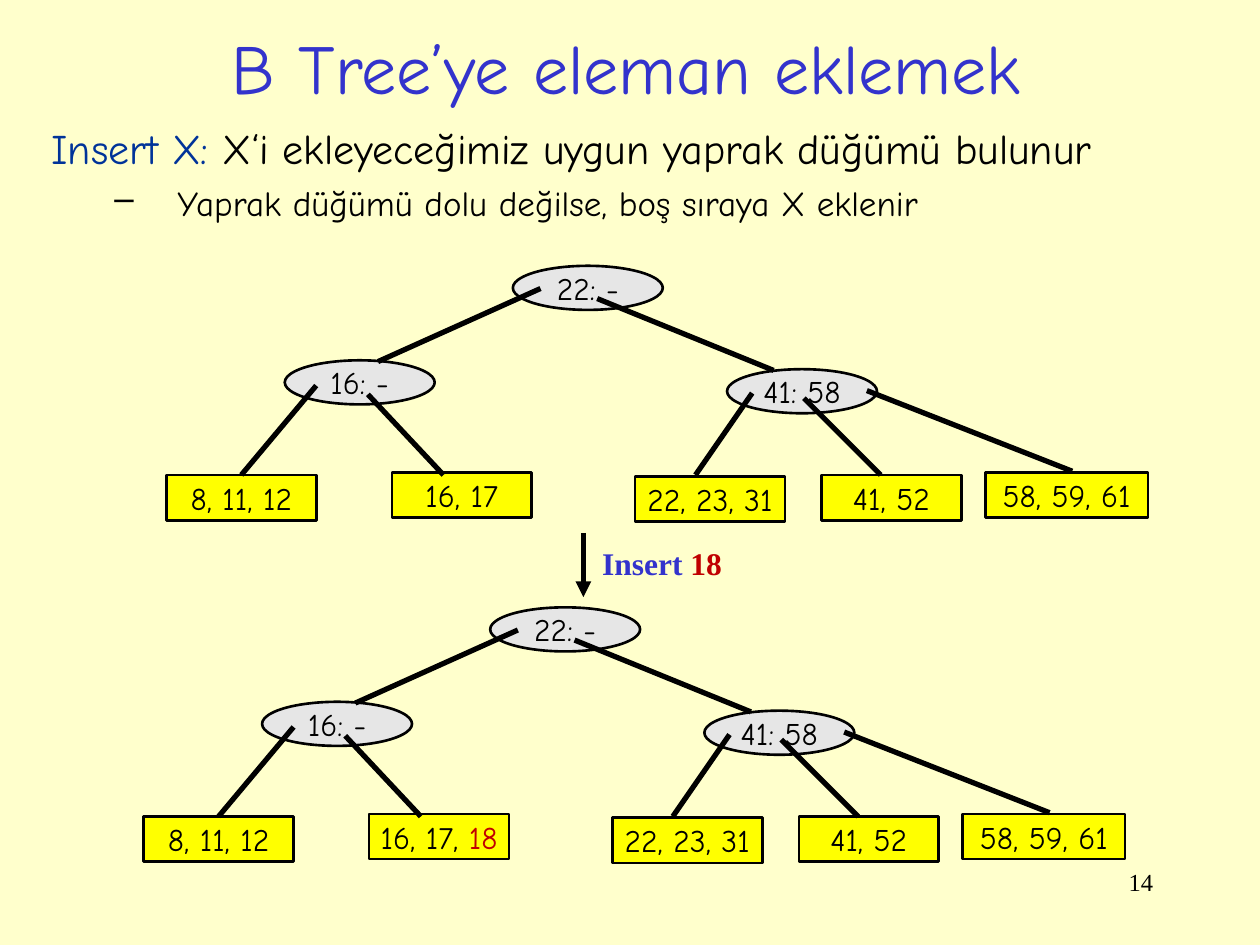
from lxml.etree import SubElement
from pptx import Presentation
from pptx.dml.color import RGBColor
from pptx.enum.shapes import MSO_CONNECTOR, MSO_SHAPE
from pptx.enum.text import MSO_ANCHOR, MSO_AUTO_SIZE, PP_ALIGN
from pptx.oxml.ns import qn
from pptx.util import Inches, Pt

HAND, SERIF = "Comic Neue", "Times New Roman"
BLACK, BLUE, RED, NAVY, CREAM = "000000", "3333CC", "C00000", "003399", "FFFFCC"

presentation = Presentation()
presentation.slide_width, presentation.slide_height = Inches(10), Inches(7.5)
column, row = presentation.slide_width // 1000, presentation.slide_height // 750
slide = presentation.slides.add_slide(presentation.slide_layouts[5])
colour = RGBColor.from_string
slide.background.fill.solid()
slide.background.fill.fore_color.rgb = colour(CREAM)


def write(paragraph, runs, size, name=HAND, bold=False, alignment=PP_ALIGN.CENTER):
    paragraph.alignment = alignment
    for text, hex_colour in runs:
        run = paragraph.add_run()
        run.text = text
        for attribute, value in {"size": Pt(size), "name": name, "bold": bold}.items():
            setattr(run.font, attribute, value)
        run.font.color.rgb = colour(hex_colour)


def connect(x1, y1, x2, y2):
    line = slide.shapes.add_connector(
        MSO_CONNECTOR.STRAIGHT, x1 * column, y1 * row, x2 * column, y2 * row)
    line.line.width = Pt(3)
    line.line.color.rgb = colour(BLACK)
    SubElement(line.element.spPr, qn("a:effectLst"))
    return line


title = slide.shapes.title
title_box = {"left": 72 * column, "top": 15 * row, "width": 850 * column, "height": 76 * row}
for attribute, value in title_box.items():
    setattr(title, attribute, value)
title_format = {"vertical_anchor": MSO_ANCHOR.MIDDLE, "auto_size": MSO_AUTO_SIZE.NONE}
for attribute, value in title_format.items():
    setattr(title.text_frame, attribute, value)
write(title.text_frame.paragraphs[0], [("B Tree’ye eleman eklemek", BLUE)], 40)

nodes = [(407, 211, "22: -"), (226, 286, "16: -"), (577, 293, "41: 58")]
leaves = [(132, 377, 119, "8, 11, 12"), (311, 375, 111, "16, 17"),
          (504, 378, 119, "22, 23, 31"), (652, 377, 111, "41, 52"),
          (782, 375, 129, "58, 59, 61")]
branches = [(429, 229, 300, 287), (474, 237, 614, 294), (251, 306, 190, 378),
            (292, 313, 352, 377), (597, 312, 552, 377), (638, 316, 699, 377),
            (688, 310, 851, 374)]
parts = [(MSO_SHAPE.OVAL, "E6E6E6", x, y, 119, 35, text) for x, y, text in nodes]
parts += [(MSO_SHAPE.RECTANGLE, "FFFF00", x, y, width, 36, text)
          for x, y, width, text in leaves]
node_format = {"vertical_anchor": MSO_ANCHOR.MIDDLE, "word_wrap": False}

for shift_x, shift_y, inserted in [(0, 0, ""), (-18, 271, "18")]:
    boxes = {}
    for kind, fill, x, y, width, height, text in parts:
        shape = slide.shapes.add_shape(
            kind, (x + shift_x) * column, (y + shift_y) * row, width * column, height * row)
        shape.shadow.inherit = False
        shape.fill.solid()
        shape.fill.fore_color.rgb = colour(fill)
        shape.line.color.rgb = colour(BLACK)
        shape.line.width = Pt(1.5)
        for attribute, value in node_format.items():
            setattr(shape.text_frame, attribute, value)
        runs = [(text, BLACK)]
        if inserted and text == "16, 17":
            runs = [(text + ", ", BLACK), (inserted, RED)]
        write(shape.text_frame.paragraphs[0], runs, 18)
        boxes[text] = shape
    lines = [connect(x1 + shift_x, y1 + shift_y, x2 + shift_x, y2 + shift_y)
             for x1, y1, x2, y2 in branches]
    lines[2].end_connect(boxes["8, 11, 12"], 0)

arrow = connect(463, 423, 463, 474)
SubElement(arrow.line._get_or_add_ln(), qn("a:tailEnd"), type="triangle")

explanation = slide.shapes.add_textbox(31 * column, 92 * row, 941 * column, 103 * row)
explanation.fill.solid()
explanation.fill.fore_color.rgb = colour(CREAM)
explanation.text_frame.word_wrap = True
rule = explanation.text_frame.paragraphs[0]
detail = explanation.text_frame.add_paragraph()
detail.level = 1
write(rule, [("Insert X:", NAVY), (" X‘i ekleyeceğimiz uygun yaprak düğümü bulunur", BLACK)],
      24, alignment=PP_ALIGN.LEFT)
write(detail, [("Yaprak düğümü dolu değilse, boş sıraya X eklenir", BLACK)],
      20, alignment=PP_ALIGN.LEFT)
for paragraph, before, margin, indent in [(rule, 6, 0.58, -0.58), (detail, 5, 1, -0.5)]:
    paragraph.space_before = Pt(before)
    properties = paragraph._p.get_or_add_pPr()
    properties.set("marL", str(Inches(margin)))
    properties.set("indent", str(Inches(indent)))
bullet = detail._p.get_or_add_pPr()
SubElement(SubElement(bullet, qn("a:buClr")), qn("a:srgbClr"), val=BLACK)
SubElement(bullet, qn("a:buChar"), char="–")

labels = [
    (468, 427, 115, 40, [("Insert ", BLUE), ("18", RED)], 18, True, PP_ALIGN.LEFT),
    (717, 683, 208, 50, [("14", BLACK)], 14, False, PP_ALIGN.RIGHT),
]
for x, y, width, height, runs, size, bold, alignment in labels:
    label = slide.shapes.add_textbox(x * column, y * row, width * column, height * row)
    label.text_frame.word_wrap = not bold
    write(label.text_frame.paragraphs[0], runs, size, SERIF, bold, alignment)

presentation.save("out.pptx")
